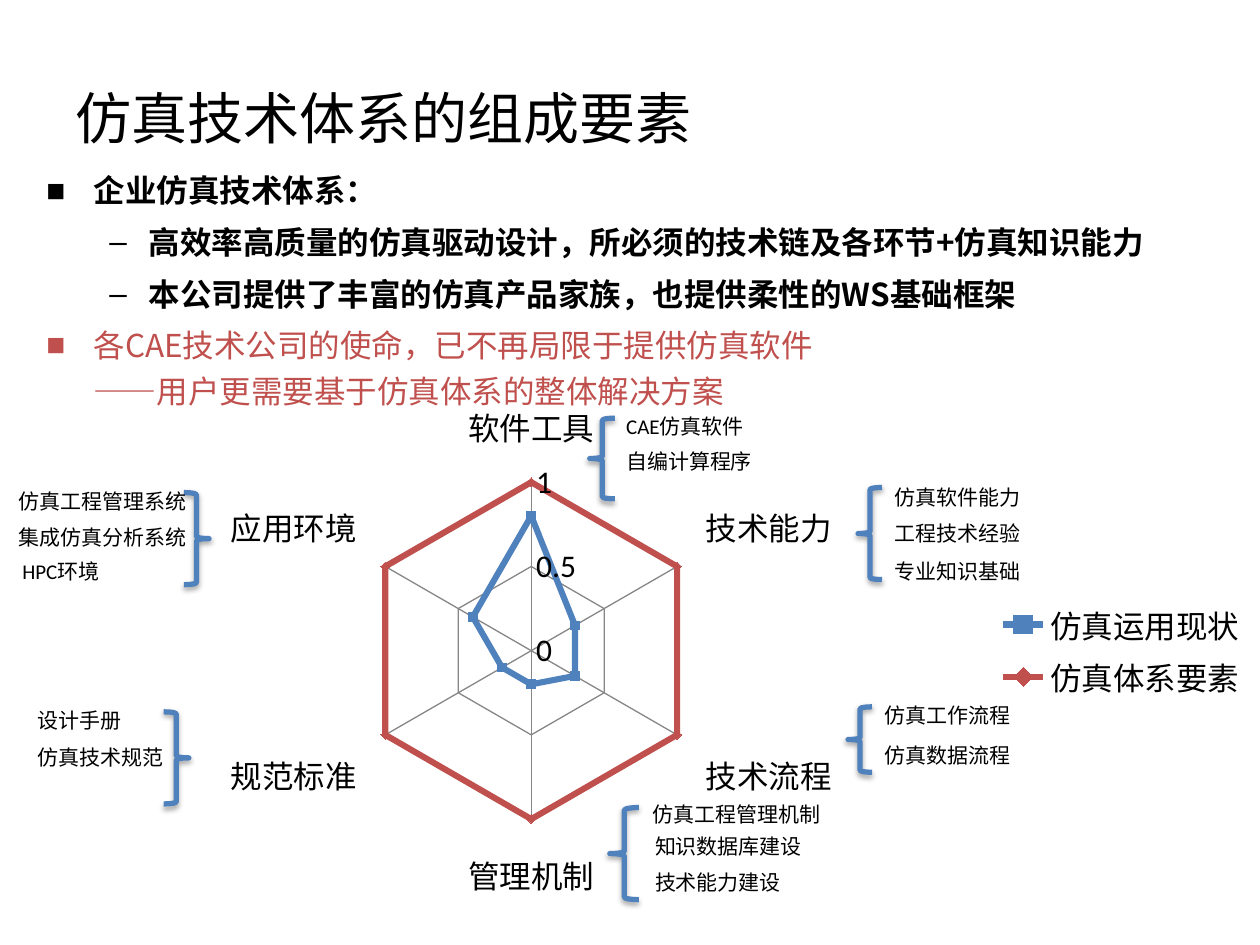
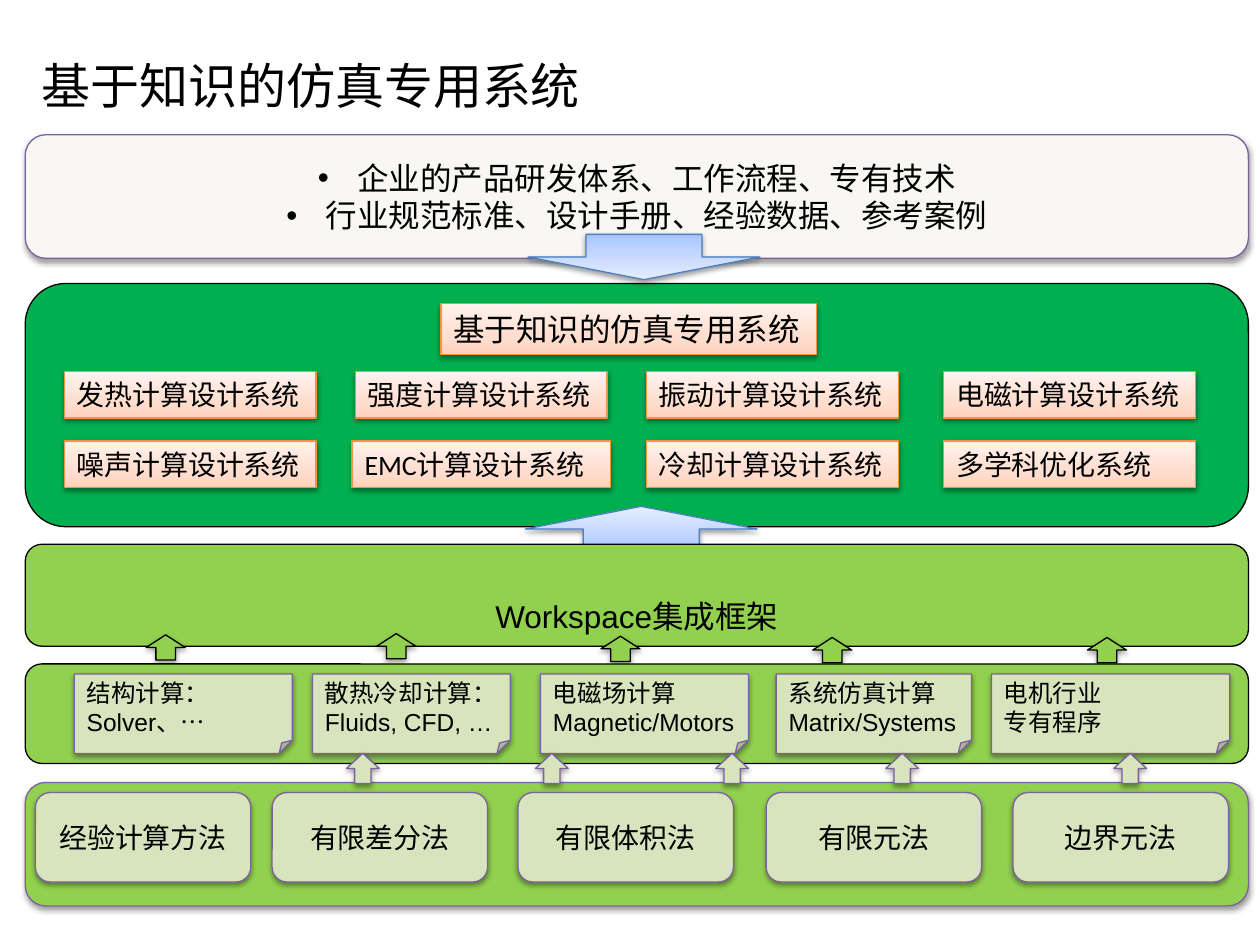
from lxml import etree
from pptx import Presentation
from pptx.chart.data import CategoryChartData
from pptx.dml.color import RGBColor
from pptx.enum import chart as charts, shapes, text
from pptx.oxml.ns import qn
from pptx.util import Pt

BLACK, BLUE, RED = "000000", "4F81BD", "C0504D"
GREEN, LIME, PALE, PURPLE = "00B050", "92D050", "D7E4BD", "7D60A0"
PEACH_FADE = ("FFD2BD", "FFDED0", "FFF2ED")
BLUE_FADE = ("A4C4FF", "BFD4FF", "E6EEFF")
CJK = "Noto Sans CJK SC"
KIND = shapes.MSO_SHAPE
MIDDLE, BOTTOM = text.MSO_ANCHOR.MIDDLE, text.MSO_ANCHOR.BOTTOM
CENTER, LEFT = text.PP_ALIGN.CENTER, text.PP_ALIGN.LEFT
PANEL_LEFT, PANEL_WIDTH = 14.4, 699


def color(value):
    """Turn a hex string into a colour."""
    return RGBColor.from_string(value)


def place(box):
    """Turn a box in points into lengths."""
    return [Pt(length) for length in box]


def style(para, size, font="Calibri", ink=BLACK, bold=False, align=LEFT):
    """Format a paragraph and all its runs."""
    para.alignment = align
    for span in para.runs:
        span.font.size, span.font.name, span.font.bold = Pt(size), font, bold
        span.font.color.rgb = color(ink)


def bullet(para, char, margin, indent):
    """Give a paragraph a hanging bullet."""
    props = para._p.get_or_add_pPr()
    props.set("marL", str(Pt(margin)))
    props.set("indent", str(-Pt(indent)))
    etree.SubElement(props, qn("a:buFont")).set("typeface", "Arial")
    etree.SubElement(props, qn("a:buChar")).set("char", char)


def add_shadow(shape, alpha, distance):
    """Drop a soft black shadow straight down."""
    effects = shape._element.spPr.find(qn("a:effectLst"))
    outer = etree.SubElement(effects, qn("a:outerShdw"), blurRad=str(Pt(3.1)),
                             dist=str(Pt(distance)), dir="5400000", rotWithShape="0")
    black = etree.SubElement(outer, qn("a:srgbClr"), val=BLACK)
    etree.SubElement(black, qn("a:alpha"), val=str(alpha * 1000))


def fade(shape, stops):
    """Fill a shape with a three-colour gradient rising from its base."""
    shape.fill.gradient()
    shape.fill.gradient_angle = 90
    stop_list = shape._element.spPr.find(".//" + qn("a:gsLst"))
    for old in list(stop_list):
        stop_list.remove(old)
    for position, value in zip((0, 35, 100), stops):
        stop = etree.SubElement(stop_list, qn("a:gs"), pos=str(position * 1000))
        etree.SubElement(stop, qn("a:srgbClr"), val=value)


def add_block(page, kind, box, fill, line, shadow=True):
    """Add an outlined shape with a flat or gradient fill."""
    shape = page.shapes.add_shape(kind, *place(box))
    shape.shadow.inherit = False
    if isinstance(fill, tuple):
        fade(shape, fill)
    else:
        shape.fill.solid()
        shape.fill.fore_color.rgb = color(fill)
    shape.line.color.rgb = color(line)
    shape.line.width = Pt(0.75)
    if shadow:
        add_shadow(shape, 38, 1.6)
    return shape


def write(shape, lines, size, font="Calibri", align=LEFT, anchor=MIDDLE, wrap=False):
    """Write lines into a shape in one style."""
    frame = shape.text_frame
    frame.word_wrap, frame.vertical_anchor = wrap, anchor
    frame.text = lines
    for para in frame.paragraphs:
        style(para, size, font, align=align)


def add_title(page, title, box, size):
    """Place and format the title placeholder."""
    holder = page.shapes.title
    holder.left, holder.top, holder.width, holder.height = place(box)
    write(holder, title, size, CJK, wrap=True)


def add_message(page, box):
    """Add the bulleted statement under the title."""
    frame = page.shapes.add_textbox(*place(box)).text_frame
    frame.word_wrap = True
    lines = (
        ("■", 27, 27, "企业仿真技术体系：", BLACK),
        ("–", 58.5, 22.5, "高效率高质量的仿真驱动设计，所必须的技术链及各环节+仿真知识能力", BLACK),
        ("–", 58.5, 22.5, "本公司提供了丰富的仿真产品家族，也提供柔性的WS基础框架", BLACK),
        ("■", 27, 27, "各CAE技术公司的使命，已不再局限于提供仿真软件\n"
         "——用户更需要基于仿真体系的整体解决方案", RED),
    )
    for index, (char, margin, indent, words, ink) in enumerate(lines):
        para = frame.add_paragraph() if index else frame.paragraphs[0]
        para.text = words
        para.line_spacing = 1.2
        if index:
            para.space_before = Pt(3.6)
            para.level = int(char == "–")
        bullet(para, char, margin, indent)
        style(para, 18, CJK, ink, bold=ink == BLACK)


def add_radar(page, box):
    """Add the radar chart of current use against the full system."""
    data = CategoryChartData()
    data.categories = ["软件工具", "技术能力", "技术流程", "管理机制", "规范标准", "应用环境"]
    data.add_series("仿真运用现状", (0.8, 0.3, 0.3, 0.2, 0.2, 0.4))
    data.add_series("仿真体系要素", (1, 1, 1, 1, 1, 1))
    chart = page.shapes.add_chart(charts.XL_CHART_TYPE.RADAR_MARKERS, *place(box), data).chart
    chart.has_title = False
    chart.font.size, chart.font.name = Pt(18), "Calibri"
    chart.font.color.rgb = color(BLACK)
    chart.has_legend = True
    chart.legend.position = charts.XL_LEGEND_POSITION.RIGHT
    chart.legend.include_in_layout = False
    plot = chart.plots[0]
    plot.vary_by_categories = False
    markers = (charts.XL_MARKER_STYLE.SQUARE, charts.XL_MARKER_STYLE.DIAMOND)
    for series, ink, marker in zip(plot.series, (BLUE, RED), markers):
        series.format.line.color.rgb = color(ink)
        series.format.line.width = Pt(3.5)
        series.marker.style, series.marker.size = marker, 5
        series.marker.format.fill.solid()
        series.marker.format.fill.fore_color.rgb = color(ink)
        series.marker.format.line.color.rgb = color(ink)
    scale = chart.value_axis
    scale.minimum_scale, scale.maximum_scale, scale.major_unit = 0, 1, 0.5
    scale.tick_labels.number_format = "General"
    scale.tick_labels.number_format_is_linked = False
    for axis in (chart.category_axis, scale):
        axis.major_tick_mark = axis.minor_tick_mark = charts.XL_TICK_MARK.NONE
        axis.has_major_gridlines = True
        axis.major_gridlines.format.line.color.rgb = color("868686")
    scale.format.line.color.rgb = color("868686")
    chart.category_axis.format.line.fill.background()


def add_callout(page, box, labels, flipped=False):
    """Add a brace in the box and its labels, offset from the box corner."""
    brace = page.shapes.add_shape(KIND.LEFT_BRACE, *place(box))
    brace.shadow.inherit = False
    brace.fill.background()
    brace.line.color.rgb = color(BLUE)
    brace.line.width = Pt(3)
    add_shadow(brace, 35, 1.8)
    if flipped:
        brace._element.spPr.find(qn("a:xfrm")).set("flipH", "1")
    for right, down, words in labels:
        label = page.shapes.add_textbox(*place((box[0] + right, box[1] + down, 118, 21.8)))
        write(label, words, 12, anchor=text.MSO_ANCHOR.TOP, wrap=True)
        label.text_frame.auto_size = text.MSO_AUTO_SIZE.SHAPE_TO_FIT_TEXT


def build_elements(page):
    """Build the slide on the elements of the simulation system."""
    add_title(page, "仿真技术体系的组成要素", (36, 43.9, 648, 46), 32)
    add_radar(page, (39.6, 224.6, 680.4, 294.5))
    add_callout(page, (484.6, 403.9, 13.7, 37.4),
                [(13.7, -5.8, "仿真工作流程"), (13.7, 16.6, "仿真数据流程")])
    add_callout(page, (105.1, 281.5, 14.4, 52.6),
                [(-101.5, -5.8, "仿真工程管理系统"), (-101.5, 14.4, "集成仿真分析系统"),
                 (-99.4, 33.9, "HPC环境")], flipped=True)
    add_callout(page, (337, 239, 14.4, 46.1),
                [(13.7, -6.4, "CAE仿真软件"), (13.7, 13.7, "自编计算程序")])
    add_callout(page, (490.3, 278.6, 13.7, 52.6),
                [(13.7, -5, "仿真软件能力"), (13.7, 15.2, "工程技术经验"),
                 (13.7, 36.8, "专业知识基础")])
    add_callout(page, (348.5, 461.5, 16.6, 52.6),
                [(17.3, -7.2, "仿真工程管理机制"), (18.7, 11.5, "知识数据库建设"),
                 (18.7, 31.7, "技术能力建设")])
    add_callout(page, (93.6, 406.8, 14.4, 52.6),
                [(-79.2, -5.8, "设计手册"), (-79.2, 15.1, "仿真技术规范")], flipped=True)
    add_message(page, (19.4, 90, 680.4, 151.9))


def add_panel(page, top, height, fill, line=BLACK, shadow=False):
    """Add one of the full-width rounded layers."""
    box = (PANEL_LEFT, top, PANEL_WIDTH, height)
    return add_block(page, KIND.ROUNDED_RECTANGLE, box, fill, line, shadow)


def add_chip(page, box, words, size):
    """Add a peach label that fits its text."""
    chip = add_block(page, KIND.RECTANGLE, box, PEACH_FADE, "F69240")
    write(chip, words, size, anchor=text.MSO_ANCHOR.TOP)
    chip.text_frame.auto_size = text.MSO_AUTO_SIZE.SHAPE_TO_FIT_TEXT


def add_systems(page, top):
    """Add the layer of dedicated simulation systems."""
    add_panel(page, top, 139, GREEN)
    add_block(page, KIND.UP_ARROW, (300.2, top + 127.4, 132.5, 25.9), BLUE_FADE, "4B7EBC")
    rows = (("发热计算设计系统", "强度计算设计系统", "振动计算设计系统", "电磁计算设计系统"),
            ("噪声计算设计系统", "EMC计算设计系统", "冷却计算设计系统", "多学科优化系统"))
    for row, names in enumerate(rows):
        for left, name in zip((36.7, 203, 369.4, 539.3), names):
            width = 147.6 if name.startswith("EMC") else 144
            box = (left - (width - 144) / 2, top + 50.4 + 39.6 * row, width, 26.6)
            add_chip(page, box, name, 16)
    add_chip(page, (252, top + 11.5, 214.6, 29), "基于知识的仿真专用系统", 18)


def add_methods(page, top):
    """Add the layer of numerical methods."""
    add_panel(page, top, 70.6, LIME, PURPLE, shadow=True)
    names = ("经验计算方法", "有限差分法", "有限体积法", "有限元法", "边界元法")
    for left, name in zip((20.2, 155.5, 296, 437.8, 578.9), names):
        box = (left, top + 5.8, 123.1, 51.1)
        card = add_block(page, KIND.ROUNDED_RECTANGLE, box, PALE, PURPLE)
        write(card, name, 16, "Arial", CENTER)


def add_framework(page, top):
    """Add the integration framework layer and the arrows into it."""
    write(add_panel(page, top, 58.3, LIME), "Workspace集成框架", 18, "Arial", CENTER, BOTTOM)
    for left, down in ((83.5, 51.8), (215.3, 51.1), (343.4, 52.6), (464.4, 53.3), (621.4, 53.3)):
        add_block(page, KIND.UP_ARROW, (left, top + down, 22.3, 14.4), LIME, BLACK)


def add_solvers(page, top):
    """Add the layer of solver notes and the arrows that feed it."""
    add_panel(page, top, 56.9, LIME)
    notes = ((42.5, 124.6, "结构计算：\nSolver、…"),
             (178.6, 113, "散热冷却计算：\nFluids, CFD, …"),
             (308.9, 118.8, "电磁场计算\nMagnetic/Motors"),
             (443.5, 111.6, "系统仿真计算\nMatrix/Systems"),
             (566.6, 136.1, "电机行业\n专有程序"))
    for left, width, words in notes:
        note = add_block(page, KIND.FOLDED_CORNER, (left, top + 5.8, width, 45.4), PALE, PURPLE)
        write(note, words, 14, "Arial")
    for left in (198, 306, 409, 506.2, 636.5):
        add_block(page, KIND.UP_ARROW, (left, top + 51.1, 18.7, 17.3), PALE, PURPLE)


def add_knowledge(page, top):
    """Add the enterprise knowledge layer and its downward arrow."""
    panel = add_panel(page, top, 70.6, "F8F7F3", PURPLE, shadow=True)
    write(panel, "企业的产品研发体系、工作流程、专有技术\n"
          "行业规范标准、设计手册、经验数据、参考案例", 18, align=CENTER, wrap=True)
    for para in panel.text_frame.paragraphs:
        bullet(para, "•", 22.5, 22.5)
    arrow = add_block(page, KIND.UP_ARROW, (301.7, top + 56.9, 132.5, 25.9), BLUE_FADE, "4B7EBC")
    arrow.rotation = 180


def build_platform(page):
    """Build the slide on the knowledge-based simulation platform."""
    add_title(page, "基于知识的仿真专用系统", (16.6, 15.1, 578.2, 67), 28)
    add_systems(page, 162)
    add_methods(page, 447.1)
    add_framework(page, 311)
    add_solvers(page, 379.4)
    add_knowledge(page, 77)


def main():
    """Build both slides and save the deck."""
    deck = Presentation()
    deck.slide_width, deck.slide_height = Pt(720), Pt(540)
    for build in (build_elements, build_platform):
        build(deck.slides.add_slide(deck.slide_layouts[5]))
    deck.save("out.pptx")


if __name__ == "__main__":
    main()
